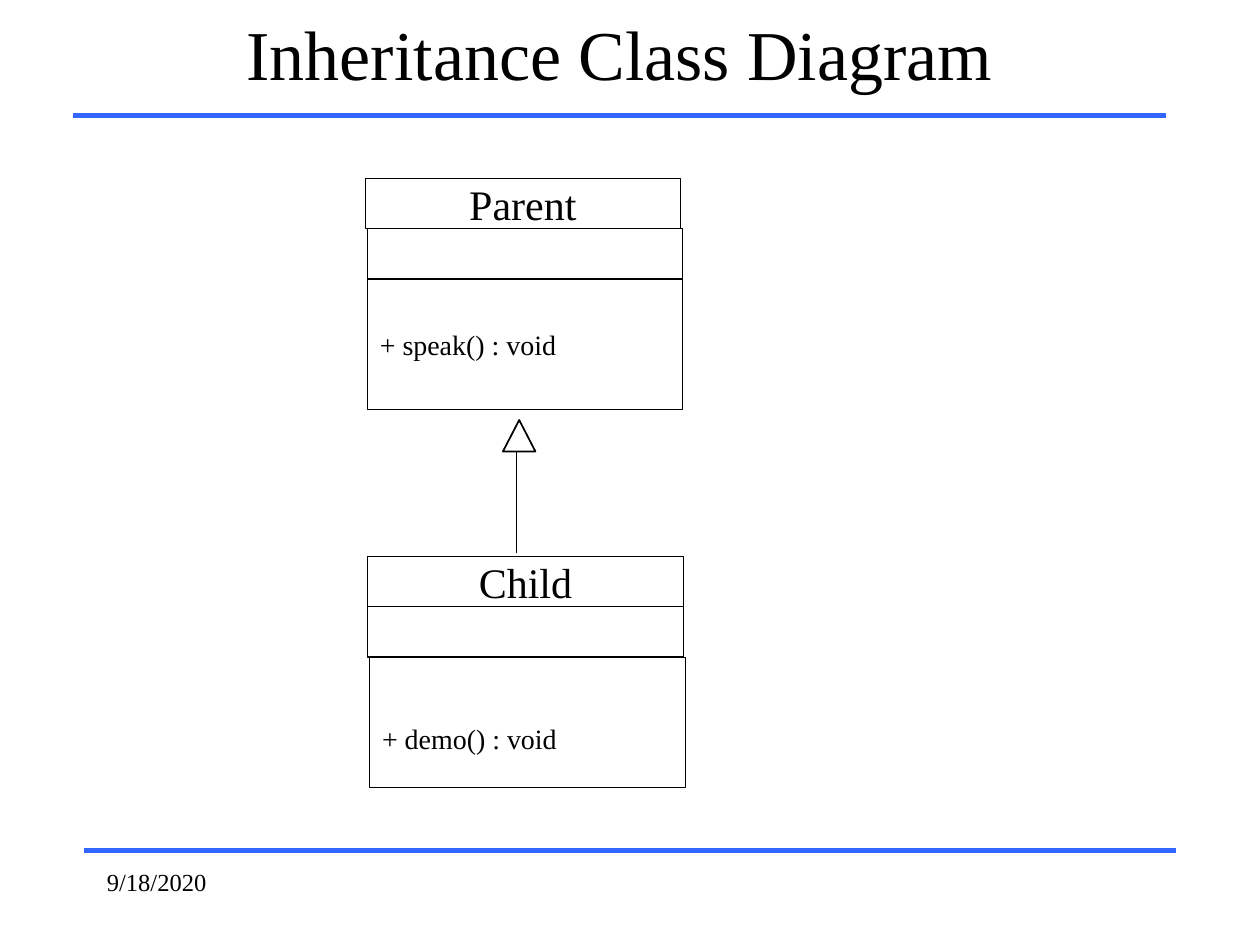
import pptx
import pptx.util
import pptx.oxml
import pptx.oxml.ns
import pptx.dml.color
import pptx.enum.shapes
import pptx.enum.text

HUES = {"ink": "000000", "rule": "3366FF", "paper": "FFFFFF"}
FACE = "Times New Roman"
KIND = pptx.enum.shapes.MSO_SHAPE
SIDE = pptx.enum.text.PP_ALIGN
MID = pptx.enum.text.MSO_ANCHOR.MIDDLE
TOP = pptx.enum.text.MSO_ANCHOR.TOP


def cell(*sizes):
    """Turn counts of grid cells, twelve to the inch, into lengths."""
    return [pptx.util.Inches(size / 12) for size in sizes]


def tint(name):
    """Return the named colour."""
    return pptx.dml.color.RGBColor.from_string(HUES[name])


def write(shape, text, size, align=SIDE.LEFT, anchor=MID, drop=0):
    """Put one line of text in a shape, lowered by an extra top inset."""
    frame = shape.text_frame
    inset = pptx.util.Inches(0.1)
    edge = pptx.util.Inches(0.05)
    looks = {"word_wrap": True, "vertical_anchor": anchor,
             "margin_left": inset, "margin_right": inset,
             "margin_top": edge + pptx.util.Inches(drop),
             "margin_bottom": edge}
    for key, value in looks.items():
        setattr(frame, key, value)
    line = frame.paragraphs[0]
    line.text = text
    line.alignment = align
    font = line.runs[0].font
    for key, value in {"name": FACE, "size": pptx.util.Pt(size)}.items():
        setattr(font, key, value)
    font.color.rgb = tint("ink")


def label(shapes, box, *text):
    """Add a plain text box."""
    write(shapes.add_textbox(*cell(*box)), *text)


def block(shapes, box, kind=KIND.RECTANGLE, width=0.75):
    """Add an outlined white shape."""
    shape = shapes.add_shape(kind, *cell(*box))
    shape.shadow.inherit = False
    shape.fill.solid()
    shape.fill.fore_color.rgb = tint("paper")
    shape.line.color.rgb = tint("ink")
    shape.line.width = pptx.util.Pt(width)
    return shape


def rule(shapes, ends, hue, width):
    """Add a straight line without a shadow."""
    line = shapes.add_connector(
        pptx.enum.shapes.MSO_CONNECTOR.STRAIGHT, *cell(*ends))
    line.line.color.rgb = tint(hue)
    line.line.width = pptx.util.Pt(width)
    line._element.spPr.append(
        pptx.oxml.parse_xml(f"<a:effectLst {pptx.oxml.ns.nsdecls('a')}/>"))


def model(slide, box, name, method, shifts, drop=0):
    """Draw a class as name, field and method rows within a box."""
    left, top, width, height = box
    row = height * 0.218
    shapes = slide.shapes.add_group_shape().shapes
    spans = [(top, row), (top + row, row), (top + 2 * row, height - 2 * row)]
    head, field, body = [
        block(shapes, (left + shift, start, width, tall))
        for shift, (start, tall) in zip(shifts, spans)]
    write(head, name, 24, SIDE.CENTER)
    write(body, method, 16, drop=drop)


def arrow(slide, box):
    """Draw the hollow inheritance arrow pointing up within a box."""
    left, top, width, height = box
    shapes = slide.shapes.add_group_shape().shapes
    stem = left + width * 0.42
    rule(shapes, (stem, top + height, stem, top + height * 0.13), "ink", 0.5)
    block(shapes, (left, top, width, 3), KIND.ISOSCELES_TRIANGLE, 1)


def header(slide, box):
    """Place the title above its rule."""
    left, top, width, height = box
    label(slide.shapes, (left, top, width, height - 1),
          "Inheritance Class Diagram", 40, SIDE.CENTER)
    rule(slide.shapes, (left, top + height, left + width, top + height),
         "rule", 3)


def footer(slide, box):
    """Place the date below its rule."""
    left, top, width, height = box
    rule(slide.shapes, (left, top, left + width, top), "rule", 3)
    label(slide.shapes, (left + 1, top + 1, 25, height - 1),
          "9/18/2020", 14, SIDE.LEFT, TOP)


def main():
    """Build and save the slide."""
    deck = pptx.Presentation()
    deck.slide_width, deck.slide_height = cell(120, 90)
    slide = deck.slides.add_slide(deck.slide_layouts[6])
    header(slide, (7, 0, 104, 11))
    footer(slide, (8, 81, 104, 7))
    model(slide, (35, 53, 30.1, 22), "Child", "+ demo() : void",
          (0, 0, 0.2), 0.26)
    model(slide, (35, 17, 30, 22), "Parent", "+ speak() : void",
          (-0.2, 0, 0))
    arrow(slide, (47.9, 40, 3.1, 12.7))
    deck.save("out.pptx")


if __name__ == "__main__":
    main()
